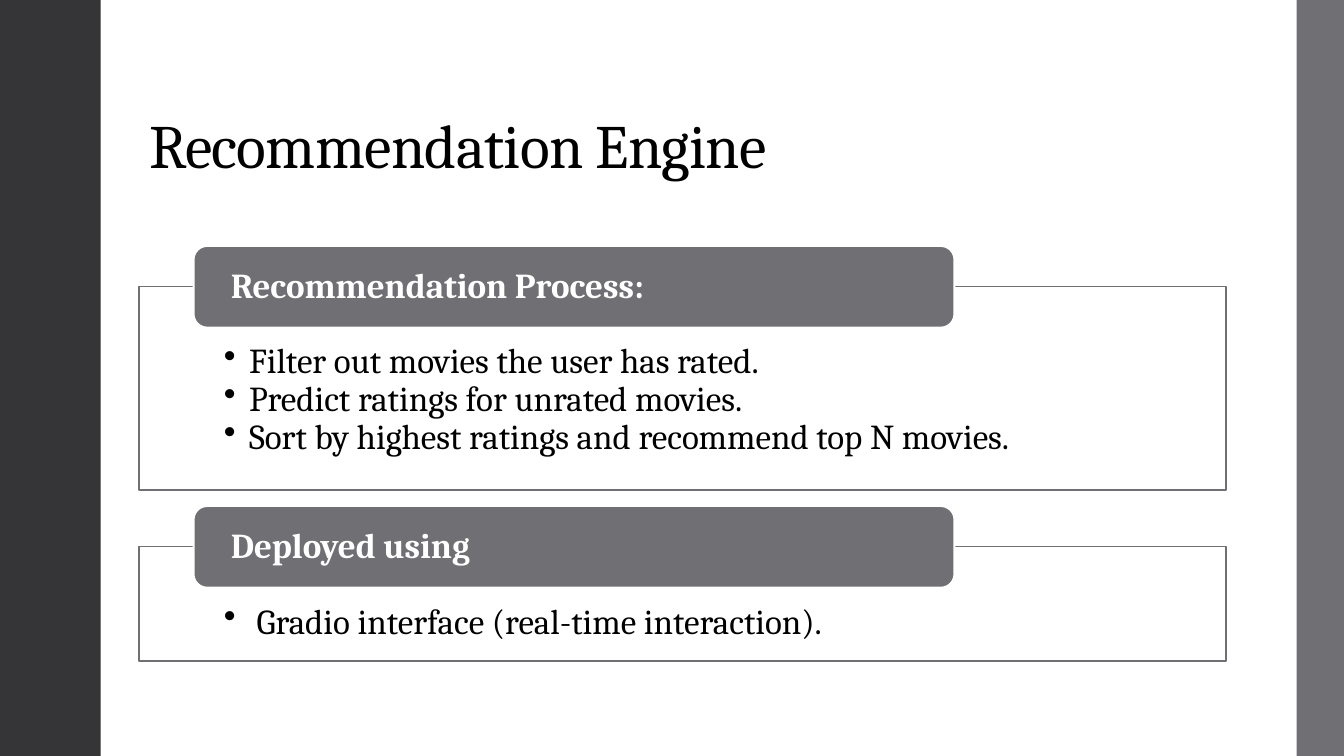
import pptx
import pptx.dml.color
import pptx.enum.shapes
import pptx.enum.text
import pptx.oxml.ns
import pptx.util
from lxml import etree

Inches = pptx.util.Inches
RGBColor = pptx.dml.color.RGBColor
Shape = pptx.enum.shapes.MSO_SHAPE
Anchor = pptx.enum.text.MSO_ANCHOR

BLACK = RGBColor(0x00, 0x00, 0x00)
WHITE = RGBColor(0xFF, 0xFF, 0xFF)
DARK = RGBColor(0x35, 0x35, 0x37)
GRAY = RGBColor(0x6F, 0x6F, 0x74)

PAGE_WIDTH, PAGE_HEIGHT = 13.33, 7.5
LEFT, WIDTH = 1.38, 10.78
TAB_RISE = 0.4  # height of a tab above the top of its panel

# Top, height, heading and bullets of each section
SECTIONS = [
    (2.84, 2.02, "Recommendation Process:", [
        "Filter out movies the user has rated.",
        "Predict ratings for unrated movies.",
        "Sort by highest ratings and recommend top N movies.",
    ]),
    (5.42, 1.14, "Deployed using", [" Gradio interface (real-time interaction)."]),
]


def write_text(shape, lines, size=25, color=BLACK, bold=False, bullet=False,
               anchor=Anchor.TOP, insets=(0.1, 0.05, 0.1, 0.05), spacing=None):
    frame = shape.text_frame
    frame.word_wrap = True
    frame.auto_size = pptx.enum.text.MSO_AUTO_SIZE.NONE
    frame.vertical_anchor = anchor
    (frame.margin_left, frame.margin_top,
     frame.margin_right, frame.margin_bottom) = map(Inches, insets)
    for index, line in enumerate(lines):
        para = frame.add_paragraph() if index else frame.paragraphs[0]
        para.alignment = pptx.enum.text.PP_ALIGN.LEFT
        para.line_spacing = 0.9
        span = para.add_run()
        span.text = line
        span.font.name = "Cambria"
        span.font.size = pptx.util.Pt(size)
        span.font.bold = bold
        span.font.color.rgb = color
        if spacing is not None:
            span.font._element.set("spc", str(round(spacing * 100)))
        if bullet:
            properties = para._p.get_or_add_pPr()
            properties.set("marL", str(Inches(0.25)))
            properties.set("indent", str(-Inches(0.25)))
            mark = etree.SubElement(properties, pptx.oxml.ns.qn("a:buChar"))
            mark.set("char", "•")


def add_box(page, kind, box, fill, line=None, line_width=1):
    shape = page.shapes.add_shape(kind, *map(Inches, box))
    shape.shadow.inherit = False
    shape.fill.solid()
    shape.fill.fore_color.rgb = fill
    if line is None:
        shape.line.fill.background()
    else:
        shape.line.color.rgb = line
        shape.line.width = pptx.util.Pt(line_width)
    return shape


def add_title(page, box, text):
    title = page.shapes.title
    title.left, title.top, title.width, title.height = map(Inches, box)
    write_text(title, [text], size=44, anchor=Anchor.BOTTOM, spacing=-0.5)


def add_side_bands(page, width, height):
    add_box(page, Shape.RECTANGLE, (0, 0, 1, height), DARK)
    add_box(page, Shape.RECTANGLE, (width - 0.47, 0, 0.47, height), GRAY)


def add_section(page, box, heading, bullets):
    left, top, width, height = box
    # Outlined panel with the bullets
    panel = add_box(page, Shape.RECTANGLE, box, WHITE, GRAY, 1.1)
    write_text(panel, bullets, bullet=True, insets=(0.84, 0.57, 0.84, 0.19))
    # Heading tab over the panel's top edge
    tab_box = (left + 0.54, top - TAB_RISE, width * 0.7, 0.81)
    tab = add_box(page, Shape.ROUNDED_RECTANGLE, tab_box, GRAY, WHITE, 1.35)
    write_text(tab, [heading], color=WHITE, bold=True, anchor=Anchor.MIDDLE,
               insets=(0.33, 0.04, 0.33, 0.04))


def main():
    deck = pptx.Presentation()
    deck.slide_width, deck.slide_height = Inches(PAGE_WIDTH), Inches(PAGE_HEIGHT)
    page = deck.slides.add_slide(deck.slide_layouts.get_by_name("Title Only"))
    add_title(page, (LEFT, 0.4, WIDTH, 1.45), "Recommendation Engine")
    add_side_bands(page, PAGE_WIDTH, PAGE_HEIGHT)
    for top, height, heading, bullets in SECTIONS:
        add_section(page, (LEFT, top, WIDTH, height), heading, bullets)
    deck.save("out.pptx")


if __name__ == "__main__":
    main()
